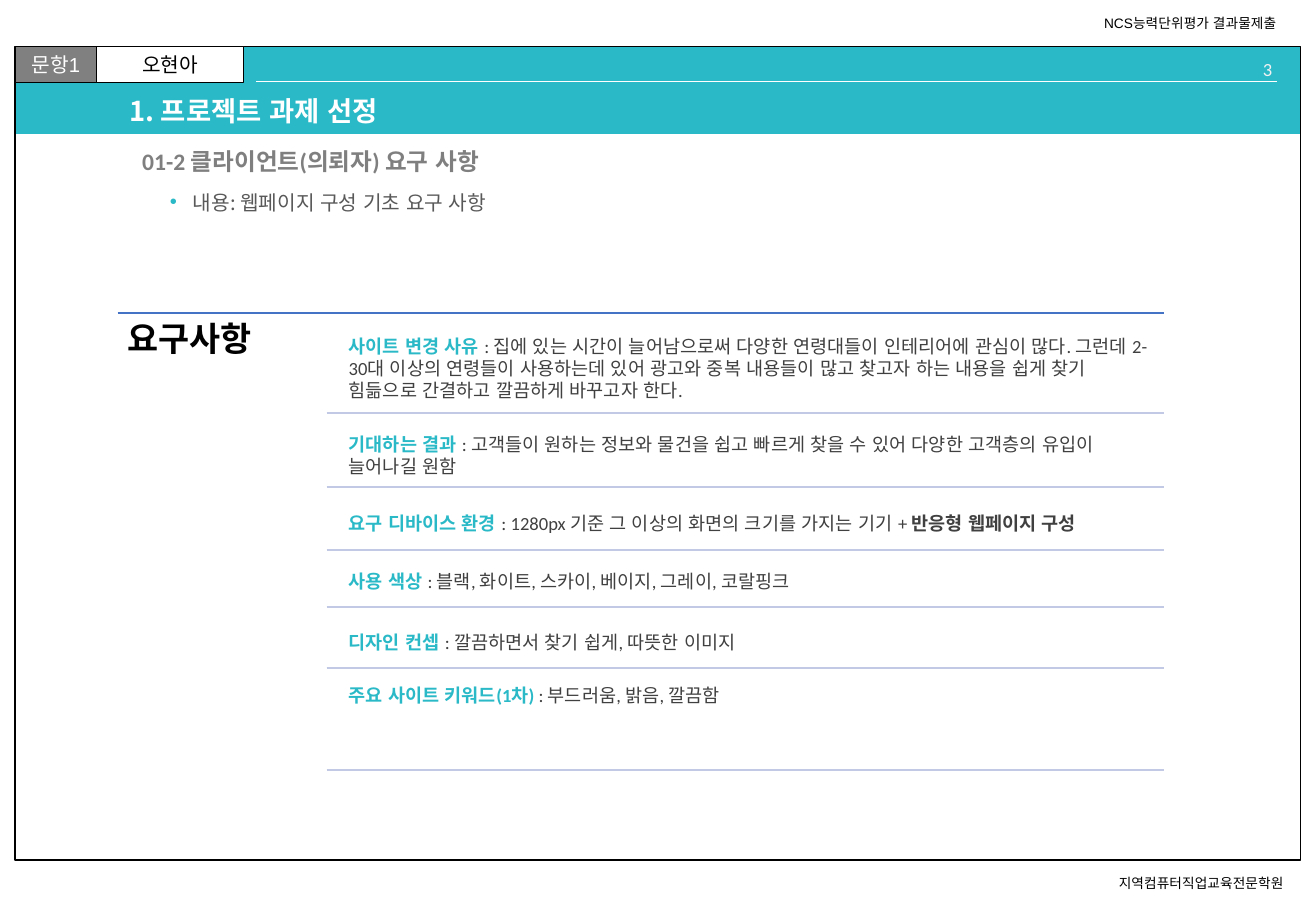
from dataclasses import dataclass
from typing import NamedTuple, Optional

from lxml.etree import SubElement
from pptx import Presentation
from pptx.dml.color import RGBColor
from pptx.enum.shapes import MSO_CONNECTOR, MSO_SHAPE
from pptx.enum.text import MSO_ANCHOR as Anchor
from pptx.enum.text import MSO_AUTO_SIZE as AutoSize
from pptx.enum.text import PP_ALIGN as Align
from pptx.oxml.ns import qn
from pptx.util import Cm, Pt

TEAL, BLACK, WHITE, GRAY = "2AB9C7", "000000", "FFFFFF", "808080"
DARK, RULE_BLUE, RULE_PALE = "404040", "4472C4", "C1C9E4"
ARIAL, CALIBRI, NOTO = "Arial", "Calibri", "Noto Sans CJK KR"
TABLE_LEFT, RULE_LEFT, TABLE_RIGHT = 2.46, 6.83, 24.33
TABLE_TOP = 6.55
ROW_LEFT, ROW_WIDTH = 7.16, 17.15


class Box(NamedTuple):
    left: float
    top: float
    width: float
    height: float


class Style(NamedTuple):
    size: float
    font: str
    color: str
    bold: bool = False


class Piece(NamedTuple):
    text: str
    style: Style


@dataclass
class Panel:
    box: Box
    fill: Optional[str] = None
    line: Optional[str] = None
    line_width: float = 0.75
    piece: Optional[Piece] = None


@dataclass
class Label:
    box: Box
    pieces: list[Piece]
    align: Align = Align.LEFT
    anchor: Anchor = Anchor.TOP
    inset: tuple[float, float] = (0.25, 0.13)
    spacing: float = 1.0


@dataclass
class Requirement:
    heading: str
    detail: str
    bottom: float
    emphasis: str = ""
    gap: float = 0.2
    anchor: Anchor = Anchor.MIDDLE


def rgb(value: str) -> RGBColor:
    return RGBColor.from_string(value)


def write(shape, label: Label) -> None:
    frame = shape.text_frame
    frame.word_wrap = True
    frame.auto_size = AutoSize.NONE
    frame.vertical_anchor = label.anchor
    frame.margin_left = frame.margin_right = Cm(label.inset[0])
    frame.margin_top = frame.margin_bottom = Cm(label.inset[1])
    paragraph = frame.paragraphs[0]
    paragraph.alignment = label.align
    paragraph.line_spacing = label.spacing
    paragraph.space_before = Pt(0)
    for text, style in label.pieces:
        run = paragraph.add_run()
        run.text = text
        run.font.size = Pt(style.size)
        run.font.name = style.font
        run.font.bold = style.bold
        run.font.color.rgb = rgb(style.color)
        properties = run.font._element
        properties.set("lang", "ko-KR")
        SubElement(properties, qn("a:ea"), typeface=NOTO)


def add_label(slide, label: Label):
    shape = slide.shapes.add_textbox(*map(Cm, label.box))
    write(shape, label)
    return shape


def fill_placeholder(shape, label: Label) -> None:
    shape.left, shape.top, shape.width, shape.height = map(Cm, label.box)
    write(shape, label)


def add_panel(slide, panel: Panel):
    shape = slide.shapes.add_shape(MSO_SHAPE.RECTANGLE, *map(Cm, panel.box))
    shape.shadow.inherit = False
    if panel.fill:
        shape.fill.solid()
        shape.fill.fore_color.rgb = rgb(panel.fill)
    else:
        shape.fill.background()
    if panel.line:
        shape.line.color.rgb = rgb(panel.line)
        shape.line.width = Pt(panel.line_width)
    else:
        shape.line.fill.background()
    if panel.piece:
        write(shape, Label(panel.box, [panel.piece], Align.CENTER, Anchor.MIDDLE, (0, 0)))
    return shape


def add_rule(slide, left: float, right: float, y: float, color: str, width: float = 1) -> None:
    rule = slide.shapes.add_connector(MSO_CONNECTOR.STRAIGHT, Cm(left), Cm(y), Cm(right), Cm(y))
    rule.line.color.rgb = rgb(color)
    rule.line.width = Pt(width)
    SubElement(rule._element.spPr, qn("a:effectLst"))


def add_bullet(shape, color: str, indent: float) -> None:
    properties = shape.text_frame.paragraphs[0]._p.get_or_add_pPr()
    properties.set("marL", str(Cm(indent)))
    properties.set("indent", str(-Cm(indent)))
    bullet_color = SubElement(properties, qn("a:buClr"))
    SubElement(bullet_color, qn("a:srgbClr"), val=color)
    SubElement(properties, qn("a:buFont"), typeface=ARIAL)
    SubElement(properties, qn("a:buChar"), char="•")


def add_requirements(slide, requirements: list[Requirement]) -> None:
    heading_style = Style(11, CALIBRI, TEAL, True)
    detail_style = Style(11, CALIBRI, DARK)
    emphasis_style = Style(11, CALIBRI, DARK, True)
    previous = TABLE_TOP
    for item in requirements:
        top = previous + item.gap
        pieces = [Piece(item.heading + " ", heading_style), Piece(": " + item.detail, detail_style)]
        if item.emphasis:
            pieces.append(Piece(item.emphasis, emphasis_style))
        box = Box(ROW_LEFT, top, ROW_WIDTH, item.bottom - top)
        add_label(slide, Label(box, pieces, anchor=item.anchor, inset=(0.13, 0.13)))
        add_rule(slide, RULE_LEFT, TABLE_RIGHT, item.bottom, RULE_PALE)
        previous = item.bottom


REQUIREMENTS = [
    Requirement("사이트 변경 사유",
                "집에 있는 시간이 늘어남으로써 다양한 연령대들이 인테리어에 관심이 많다. 그런데 "
                "2-30대 이상의 연령들이 사용하는데 있어 광고와 중복 내용들이 많고 찾고자 하는 "
                "내용을 쉽게 찾기 힘듦으로 간결하고 깔끔하게 바꾸고자 한다.", 8.64),
    Requirement("기대하는 결과",
                "고객들이 원하는 정보와 물건을 쉽고 빠르게 찾을 수 있어 다양한 고객층의 유입이 "
                "늘어나길 원함", 10.19),
    Requirement("요구 디바이스 환경", "1280px 기준 그 이상의 화면의 크기를 가지는 기기 + ", 11.5,
                emphasis="반응형 웹페이지 구성"),
    Requirement("사용 색상", "블랙, 화이트, 스카이, 베이지, 그레이, 코랄핑크", 12.7, gap=0.1),
    Requirement("디자인 컨셉", "깔끔하면서 찾기 쉽게, 따뜻한 이미지", 13.97),
    Requirement("주요 사이트 키워드(1차)", "부드러움, 밝음, 깔끔함", 16.1, anchor=Anchor.TOP),
]

presentation = Presentation()
presentation.slide_width, presentation.slide_height = Cm(27.51), Cm(19.05)
slide = presentation.slides.add_slide(presentation.slide_layouts.get_by_name("Content with Caption"))
title = slide.shapes.title
content, subtitle = slide.placeholders[1], slide.placeholders[2]

band = add_panel(slide, Panel(Box(0.32, 0.97, 26.87, 1.83), fill=TEAL))
title.element.addprevious(band.element)
for panel in (
    Panel(Box(0.32, 0.97, 26.87, 17.02), line=BLACK, line_width=1),
    Panel(Box(0.32, 0.97, 1.7, 0.76), GRAY, BLACK, piece=Piece("문항1", Style(12, ARIAL, WHITE))),
    Panel(Box(2.02, 0.97, 3.08, 0.76), WHITE, BLACK, piece=Piece("오현아", Style(12, ARIAL, BLACK))),
):
    add_panel(slide, panel)

margin_style = Style(8.1, ARIAL, BLACK)
add_label(slide, Label(Box(22.83, 0.18, 4.37, 0.6), [Piece("NCS능력단위평가 결과물제출", margin_style)]))
add_label(slide, Label(Box(23.14, 18.16, 4.27, 0.6), [Piece("지역컴퓨터직업교육전문학원", margin_style)]))
add_label(slide, Label(Box(23.85, 1.09, 3, 0.5), [Piece("3", Style(11, CALIBRI, "F2F2F2"))], Align.RIGHT))
add_rule(slide, 5.36, 26.7, 1.7, WHITE, 0.5)

fill_placeholder(title, Label(
    Box(2.46, 1.93, 22.25, 0.86), [Piece("1. 프로젝트 과제 선정", Style(16.2, NOTO, WHITE, True))],
    anchor=Anchor.MIDDLE, spacing=0.9))
fill_placeholder(subtitle, Label(
    Box(2.72, 2.97, 22, 0.86),
    [Piece("01-2 클라이언트(의뢰자) 요구 사항", Style(14, CALIBRI, "7F7F7F", True))],
    anchor=Anchor.MIDDLE, spacing=0.9))
fill_placeholder(content, Label(
    Box(3.3, 3.84, 21.41, 0.86), [Piece("내용: 웹페이지 구성 기초 요구 사항", Style(12, NOTO, "595959"))]))
add_bullet(content, TEAL, 0.48)

add_rule(slide, TABLE_LEFT, TABLE_RIGHT, TABLE_TOP, RULE_BLUE)
add_label(slide, Label(
    Box(TABLE_LEFT, TABLE_TOP, 4.37, 9.78), [Piece("요구사항", Style(20, CALIBRI, BLACK, True))],
    inset=(0.2, 0.2), spacing=0.9))
add_requirements(slide, REQUIREMENTS)

presentation.save("out.pptx")
